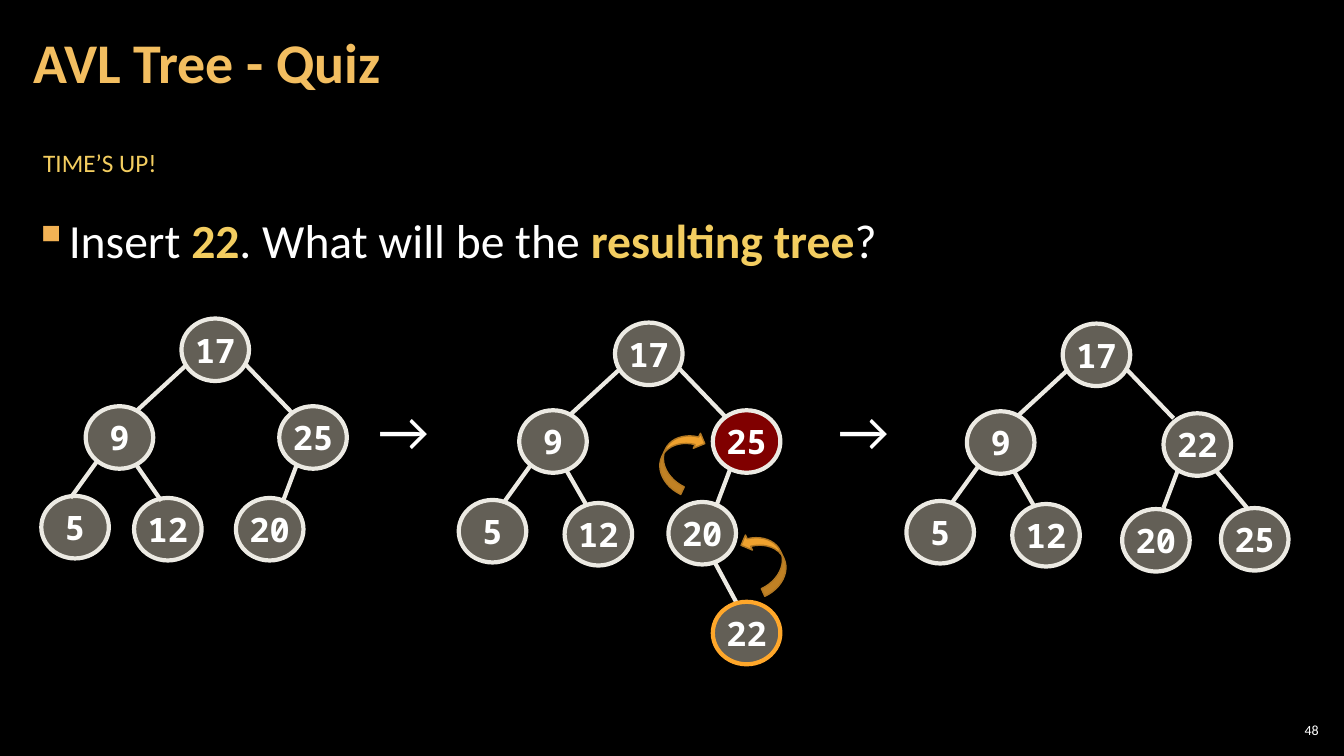
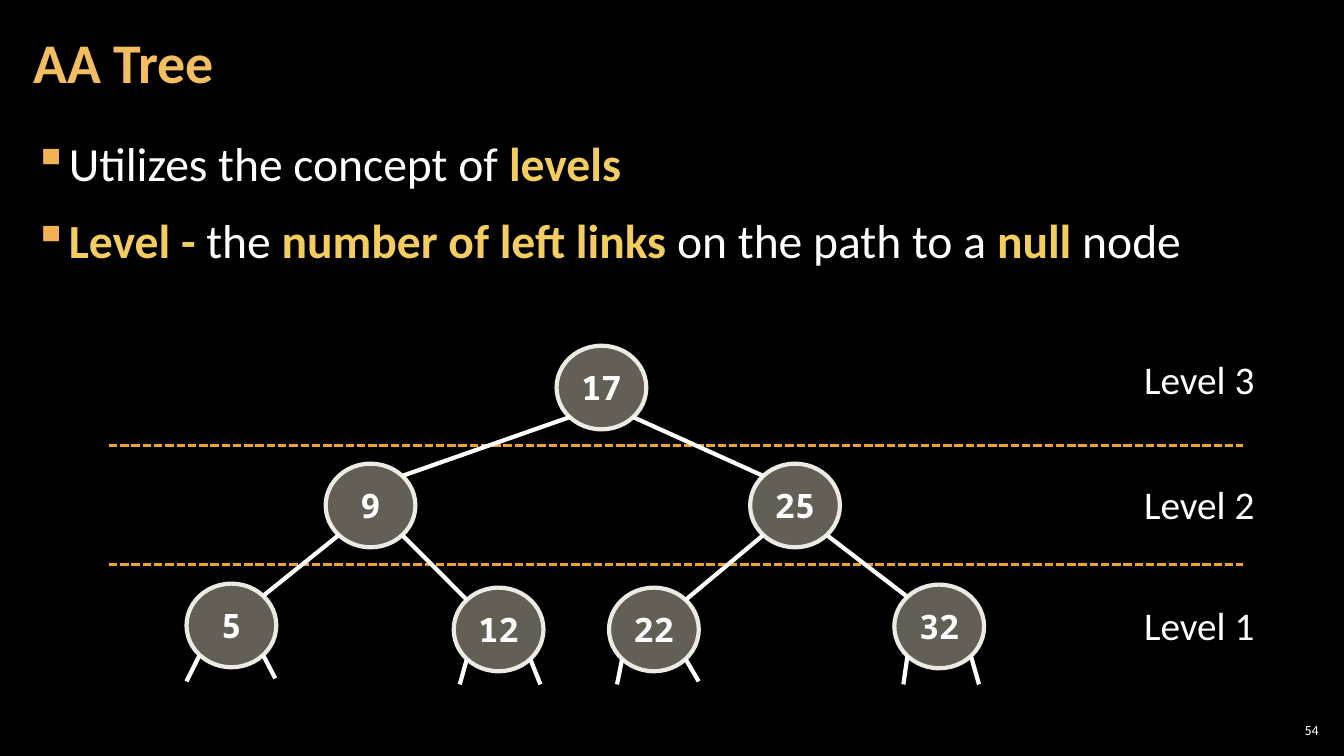
from dataclasses import dataclass
from typing import NamedTuple

import pptx
import pptx.dml.color
import pptx.enum.dml
import pptx.enum.shapes
import pptx.enum.text
import pptx.oxml.ns
import pptx.shapes.autoshape
import pptx.shapes.connector
import pptx.shapes.shapetree
import pptx.slide
import pptx.text.text
import pptx.util
from lxml import etree
from pptx.util import Inches

ALIGN = pptx.enum.text.PP_ALIGN
ANCHOR = pptx.enum.text.MSO_ANCHOR
SHAPE = pptx.enum.shapes.MSO_SHAPE
Shapes = pptx.shapes.shapetree._BaseGroupShapes


# Theme
@dataclass(frozen=True)
class Theme:
    background: str = "000000"
    text: str = "FFFFFF"
    title: str = "F3BE60"
    strong: str = "F3CD60"
    bullet: str = "F2B254"
    node: str = "C7BFAC"
    unbalanced: str = "FF0000"
    outline: str = "ECEAE3"
    inserted: str = "FFA72A"
    accent: str = "F0A22E"
    accent_dark: str = "B27822"
    font: str = "Calibri"
    mono: str = "Noto Sans Mono"
    title_size: int = 40
    body_size: int = 34
    level_size: int = 28
    node_size: int = 24
    note_size: int = 18
    number_size: int = 10


THEME = Theme()


class Point(NamedTuple):
    x: float
    y: float


class Edge(NamedTuple):
    start: Point
    end: Point


class Span(NamedTuple):
    text: str
    strong: bool = False


class Node(NamedTuple):
    label: str
    x: float
    y: float
    fill: str = THEME.node
    outline: str = THEME.outline


class Tree(NamedTuple):
    origin: Point
    nodes: list[Node]
    edges: list[Edge]


class Swoop(NamedTuple):
    kind: pptx.enum.shapes.MSO_SHAPE
    x: float
    y: float
    rotation: float


# Drawing helpers
def rgb(value: str) -> pptx.dml.color.RGBColor:
    return pptx.dml.color.RGBColor.from_string(value)


def format_font(font: pptx.text.text.Font, size: float, color: str = THEME.text,
                bold: bool = False, name: str = THEME.font) -> None:
    font.size = pptx.util.Pt(size)
    font.color.rgb = rgb(color)
    font.bold = bold
    font.name = name


def set_insets(frame: pptx.text.text.TextFrame, across: float) -> None:
    frame.margin_left = frame.margin_right = Inches(across)
    frame.margin_top = frame.margin_bottom = Inches(0.04)


def add_label(page: pptx.slide.Slide, text: str, at: Point, width: float,
              height: float, size: float, color: str = THEME.text) -> pptx.shapes.autoshape.Shape:
    box = page.shapes.add_textbox(Inches(at.x), Inches(at.y), Inches(width), Inches(height))
    box.text_frame.word_wrap = False
    box.text_frame.text = text
    format_font(box.text_frame.paragraphs[0].runs[0].font, size, color)
    return box


def add_line(shapes: Shapes, edge: Edge, color: str,
             width: float = 3) -> pptx.shapes.connector.Connector:
    line = shapes.add_connector(
        pptx.enum.shapes.MSO_CONNECTOR.STRAIGHT,
        Inches(edge.start.x), Inches(edge.start.y), Inches(edge.end.x), Inches(edge.end.y))
    line.line.color.rgb = rgb(color)
    line.line.width = pptx.util.Pt(width)
    etree.SubElement(line.element.spPr, pptx.oxml.ns.qn("a:effectLst"))
    return line


def add_shape(shapes: Shapes, kind: pptx.enum.shapes.MSO_SHAPE, at: Point, size: Point,
              fill: str, outline: str, width: float) -> pptx.shapes.autoshape.Shape:
    shape = shapes.add_shape(kind, Inches(at.x), Inches(at.y), Inches(size.x), Inches(size.y))
    shape.shadow.inherit = False
    shape.fill.solid()
    shape.fill.fore_color.rgb = rgb(fill)
    shape.line.color.rgb = rgb(outline)
    shape.line.width = pptx.util.Pt(width)
    return shape


def add_node(shapes: Shapes, node: Node, size: Point, origin: Point = Point(0, 0)) -> None:
    at = Point(origin.x + node.x, origin.y + node.y)
    shape = add_shape(shapes, SHAPE.OVAL, at, size, node.fill, node.outline, 3)
    # Half-transparent fill
    color = shape.element.spPr.find(
        f"{pptx.oxml.ns.qn('a:solidFill')}/{pptx.oxml.ns.qn('a:srgbClr')}")
    etree.SubElement(color, pptx.oxml.ns.qn("a:alpha"), val="50000")
    frame = shape.text_frame
    frame.word_wrap = False
    frame.vertical_anchor = ANCHOR.MIDDLE
    frame.text = node.label
    para = frame.paragraphs[0]
    para.alignment = ALIGN.CENTER
    format_font(para.runs[0].font, THEME.node_size, bold=True, name=THEME.mono)


def add_bullets(page: pptx.slide.Slide, top: float, items: list[list[Span]]) -> None:
    box = page.shapes.add_textbox(Inches(0.21), Inches(top), Inches(12.91), Inches(7.35 - top))
    frame = box.text_frame
    frame.word_wrap = True
    set_insets(frame, 0.12)
    for index, spans in enumerate(items):
        para = frame.add_paragraph() if index else frame.paragraphs[0]
        properties = para._p.get_or_add_pPr()
        properties.set("marL", str(Inches(0.33)))
        properties.set("indent", str(Inches(-0.33)))
        bullet_color = etree.SubElement(properties, pptx.oxml.ns.qn("a:buClr"))
        etree.SubElement(bullet_color, pptx.oxml.ns.qn("a:srgbClr"), val=THEME.bullet)
        etree.SubElement(properties, pptx.oxml.ns.qn("a:buChar"), char="▪")
        para.line_spacing = 1.05
        para.space_before = pptx.util.Pt(6 if index else 0)
        para.space_after = pptx.util.Pt(6)
        for span in spans:
            run = para.add_run()
            run.text = span.text
            color = THEME.strong if span.strong else THEME.text
            format_font(run.font, THEME.body_size, color, span.strong)


def add_page(deck: pptx.presentation.Presentation, title: str, number: int) -> pptx.slide.Slide:
    page = deck.slides.add_slide(deck.slide_layouts.get_by_name("Title Only"))
    box = page.shapes.title
    box.left, box.top, box.width, box.height = map(Inches, (0.21, 0.04, 10.47, 1.21))
    frame = box.text_frame
    frame.text = title
    frame.word_wrap = True
    frame.vertical_anchor = ANCHOR.MIDDLE
    set_insets(frame, 0.12)
    para = frame.paragraphs[0]
    para.alignment = ALIGN.LEFT
    para.line_spacing = 0.9
    format_font(para.runs[0].font, THEME.title_size, THEME.title, True)
    # Page number
    footer = add_label(page, str(number), Point(12.65, 7.14), 0.47, 0.21, THEME.number_size)
    footer.text_frame.word_wrap = True
    footer.text_frame.vertical_anchor = ANCHOR.MIDDLE
    set_insets(footer.text_frame, 0.04)
    footer.text_frame.paragraphs[0].alignment = ALIGN.RIGHT
    return page


# AVL quiz: places are relative to the root node of each tree
AVL_NODE = Point(0.67, 0.62)
SHARED_NODES = [Node("17", 0, 0), Node("9", -0.95, 0.87)]
SHARED_EDGES = [
    Edge(Point(0.05, 0.46), Point(-0.45, 0.92)),
    Edge(Point(0.63, 0.45), Point(1.1, 0.94)),
    Edge(Point(-0.84, 1.42), Point(-1.1, 1.78)),
    Edge(Point(1.14, 1.46), Point(1, 1.83)),
]
WIDE_LEAVES = [Node("5", -1.55, 1.76), Node("12", -0.5, 1.79)]
WIDE_EDGE = Edge(Point(-0.48, 1.47), Point(-0.29, 1.8))
AVL_TREES = [
    Tree(Point(1.8, 3.16),
         [Node("25", 0.97, 0.87), Node("5", -1.39, 1.76), Node("12", -0.47, 1.78),
          Node("20", 0.54, 1.78)],
         [Edge(Point(-0.45, 1.45), Point(-0.2, 1.81))]),
    Tree(Point(6.1, 3.2),
         [Node("25", 0.97, 0.87, fill=THEME.unbalanced), *WIDE_LEAVES, Node("20", 0.53, 1.78),
          Node("22", 0.97, 2.77, outline=THEME.inserted)],
         [WIDE_EDGE, Edge(Point(0.99, 2.38), Point(1.2, 2.77))]),
    Tree(Point(10.54, 3.21),
         [Node("22", 1, 0.89), *WIDE_LEAVES, Node("20", 0.59, 1.84), Node("25", 1.57, 1.83)],
         [WIDE_EDGE, Edge(Point(1.52, 1.46), Point(1.83, 1.83))]),
]
SWOOPS = [
    Swoop(SHAPE.CURVED_UP_ARROW, 7.28, 5.39, 245),
    Swoop(SHAPE.CURVED_DOWN_ARROW, 6.42, 4.38, 295.3),
]


def build_avl_quiz(deck: pptx.presentation.Presentation) -> None:
    page = add_page(deck, "AVL Tree - Quiz", 48)
    add_label(page, "TIME’S UP!", Point(0.33, 1.41), 1.34, 0.4, THEME.note_size, THEME.strong)
    add_bullets(page, 2.02, [[Span("Insert "), Span("22", True), Span(". What will be the "),
                              Span("resulting tree", True), Span("?")]])
    for tree in AVL_TREES:
        shapes = page.shapes.add_group_shape().shapes
        for edge in SHARED_EDGES + tree.edges:
            ends = (Point(tree.origin.x + end.x, tree.origin.y + end.y) for end in edge)
            add_line(shapes, Edge(*ends), THEME.outline)
        for node in SHARED_NODES + tree.nodes:
            add_node(shapes, node, AVL_NODE, tree.origin)
    for swoop in SWOOPS:
        arrow = add_shape(page.shapes, swoop.kind, Point(swoop.x, swoop.y), Point(0.64, 0.33),
                          THEME.accent, THEME.accent_dark, 1)
        arrow.rotation = swoop.rotation
    for left in (3.66, 8.22):
        add_label(page, "→", Point(left, 3.87), 0.75, 0.77, THEME.title_size)


# AA tree: edges join the diagonal points of the ovals
AA_NODE = Point(0.89, 0.83)
AA_NODES = [
    Node("17", 5.52, 3.43), Node("25", 7.44, 4.6), Node("9", 3.23, 4.6), Node("5", 1.85, 5.79),
    Node("12", 4.5, 5.83), Node("22", 6.04, 5.83), Node("32", 8.87, 5.8),
]
CHILDREN = {"17": ("9", "25"), "9": ("5", "12"), "25": ("22", "32")}
NULL_LINKS = {
    "5": (Point(1.85, 6.76), Point(2.73, 6.73)),
    "12": (Point(4.56, 6.79), Point(5.36, 6.79)),
    "22": (Point(6.12, 6.79), Point(6.93, 6.76)),
    "32": (Point(8.96, 6.79), Point(9.71, 6.79)),
}
LEVELS = {"Level 1": 5.92, "Level 2": 4.72, "Level 3": 3.48}


def diagonal(node: Node, across: int, down: int) -> Point:
    """Point on the oval at 45 degrees; each direction is -1 or 1."""
    reach = 0.5 ** 0.5
    return Point(node.x + AA_NODE.x / 2 * (1 + across * reach),
                 node.y + AA_NODE.y / 2 * (1 + down * reach))


def build_aa_tree(deck: pptx.presentation.Presentation) -> None:
    page = add_page(deck, "AA Tree", 54)
    add_bullets(page, 1.26, [
        [Span("Utilizes the concept of "), Span("levels", True)],
        [Span("Level - ", True), Span("the "), Span("number of left links", True),
         Span(" on the path to a "), Span("null", True), Span(" node")],
    ])
    for node in AA_NODES:
        add_node(page.shapes, node, AA_NODE)
    # Level borders and names
    for height in (5.6, 4.42):
        border = add_line(page.shapes, Edge(Point(1.08, height), Point(12.33, height)),
                          THEME.accent, 2)
        border.line.dash_style = pptx.enum.dml.MSO_LINE.SQUARE_DOT
    for level, top in LEVELS.items():
        add_label(page, level, Point(11.25, top), 1.31, 0.57, THEME.level_size)
    # Links to children and to null
    by_label = {node.label: node for node in AA_NODES}
    for parent, children in CHILDREN.items():
        for side, child in zip((-1, 1), children):
            add_line(page.shapes, Edge(diagonal(by_label[parent], side, 1),
                                       diagonal(by_label[child], -side, -1)), THEME.text)
    for leaf, ends in NULL_LINKS.items():
        for side, end in zip((-1, 1), ends):
            add_line(page.shapes, Edge(diagonal(by_label[leaf], side, 1), end), THEME.text)


def main() -> None:
    deck = pptx.Presentation()
    deck.slide_width, deck.slide_height = Inches(13.33), Inches(7.5)
    backdrop = deck.slide_master.background.fill
    backdrop.solid()
    backdrop.fore_color.rgb = rgb(THEME.background)
    build_avl_quiz(deck)
    build_aa_tree(deck)
    deck.save("out.pptx")


if __name__ == "__main__":
    main()
